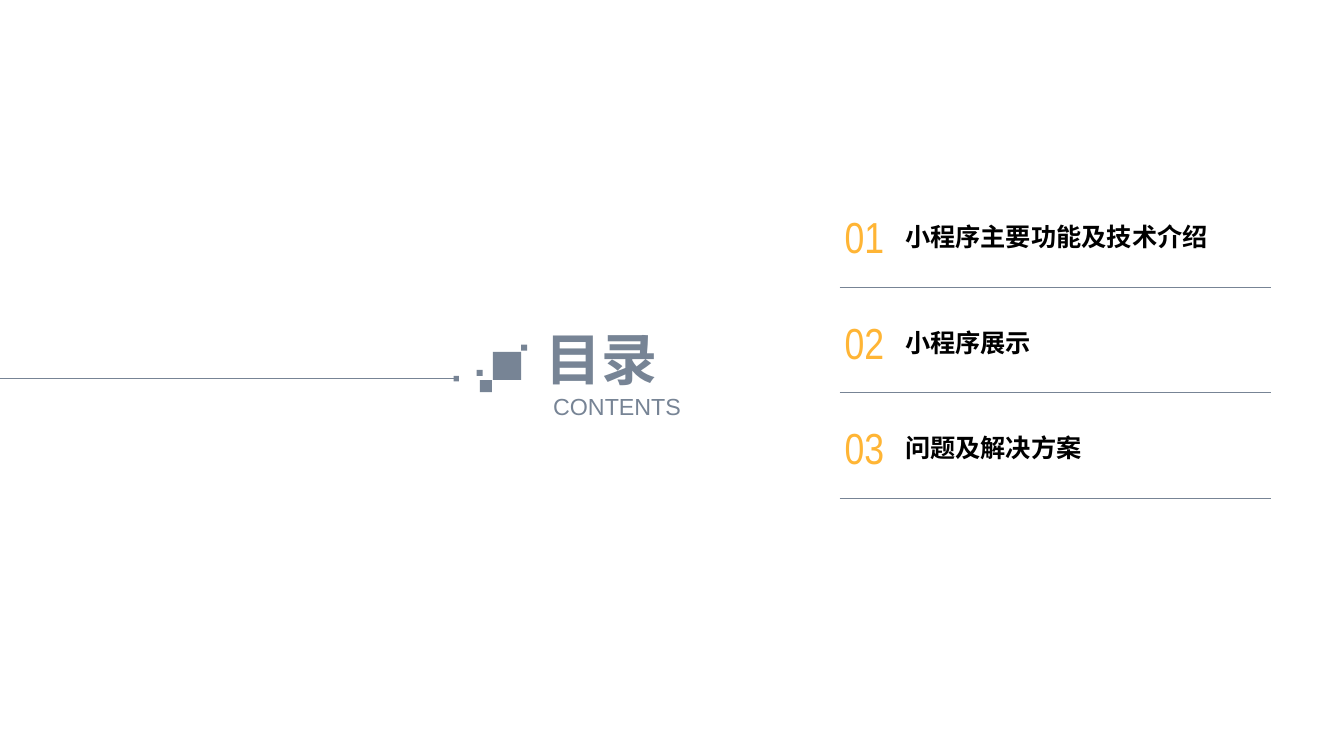
"""Build the contents slide, with lengths in hundredths of the slide's size."""
from lxml import etree
from pptx import Presentation
from pptx.dml.color import RGBColor
from pptx.enum.shapes import MSO_CONNECTOR, MSO_SHAPE
from pptx.enum.text import MSO_ANCHOR, MSO_AUTO_SIZE, PP_ALIGN
from pptx.util import Inches, Pt

RECT, LINE = MSO_SHAPE.RECTANGLE, MSO_CONNECTOR.STRAIGHT
TOP, MIDDLE = MSO_ANCHOR.TOP, MSO_ANCHOR.MIDDLE
LEFT, CENTER = PP_ALIGN.LEFT, PP_ALIGN.CENTER
FIXED = MSO_AUTO_SIZE.NONE
COLORS = {name: RGBColor.from_string(code) for name, code in {
    "slate": "778495", "amber": "FFB535", "ink": "000000"}.items()}

deck = Presentation()
deck.slide_width, deck.slide_height = Inches(13.33), Inches(7.5)
COL, ROW = deck.slide_width / 100, deck.slide_height / 100
slide = deck.slides.add_slide(deck.slide_layouts[5])
shapes = slide.shapes


def write(shape, area, text, size, color, align=LEFT, anchor=MIDDLE,
          bold=False, font="Arial"):
    x, y, w, h = area
    shape.left, shape.top = int(x * COL), int(y * ROW)
    shape.width, shape.height = int(w * COL), int(h * ROW)
    frame = shape.text_frame
    frame.text = text
    frame.word_wrap, frame.auto_size = True, FIXED
    frame.vertical_anchor = anchor
    frame.margin_left = frame.margin_right = 0
    frame.margin_top = frame.margin_bottom = 0
    para = frame.paragraphs[0]
    para.alignment = align
    style = para.runs[0].font
    style.name, style.size, style.bold = font, Pt(size), bold
    style.color.rgb = COLORS[color]


def rule(start, end, y):
    line = shapes.add_connector(LINE, int(start * COL), int(y * ROW),
                                int(end * COL), int(y * ROW))
    line.line.color.rgb = COLORS["slate"]
    line.line.width = Pt(0.5)
    props = line._element.spPr
    etree.SubElement(props, props.ln.tag.replace("}ln", "}effectLst"))


squares = [(36.67, 46.53, 2.1), (38.77, 45.6, 0.45), (35.7, 50.27, 0.9),
           (35.47, 48.93, 0.45), (33.75, 49.73, 0.4)]
for x, y, side in squares:
    block = shapes.add_shape(RECT, int(x * COL), int(y * ROW),
                             int(side * COL), int(side * COL))
    block.shadow.inherit = False
    block.fill.solid()
    block.fill.fore_color.rgb = COLORS["slate"]
    block.line.fill.background()
rule(0, 33.9, 50)

write(shapes.title, (40.58, 42.93, 10.65, 8.93), "目录", 40, "slate",
      anchor=TOP, bold=True)
write(shapes.add_textbox(0, 0, 0, 0), (40.58, 52, 10.65, 3.47), "CONTENTS",
      16.6, "slate", align=CENTER)

topics = ["小程序主要功能及技术介绍", "小程序展示", "问题及解决方案"]
for i, topic in enumerate(topics):
    top = 27.73 + 13.93 * i
    write(shapes.add_textbox(0, 0, 0, 0), (62.48, top, 3.67, 7.07),
          f"{i + 1:02}", 31, "amber", align=CENTER, font="Arial Narrow")
    write(shapes.add_textbox(0, 0, 0, 0), (67.35, top + 1.6, 26.4, 5.33),
          topic, 18, "ink", anchor=TOP, bold=True)
    rule(62.48, 94.57, top + 10.27)

deck.save("out.pptx")
